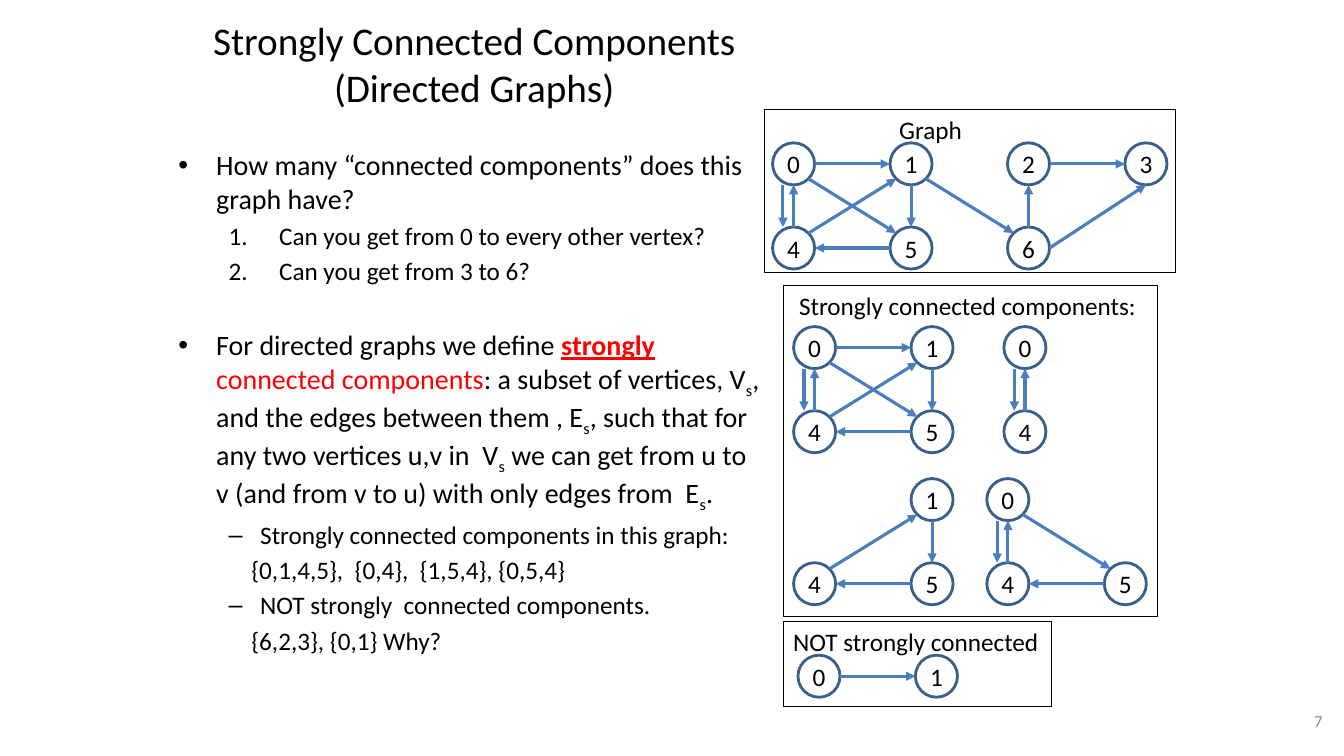
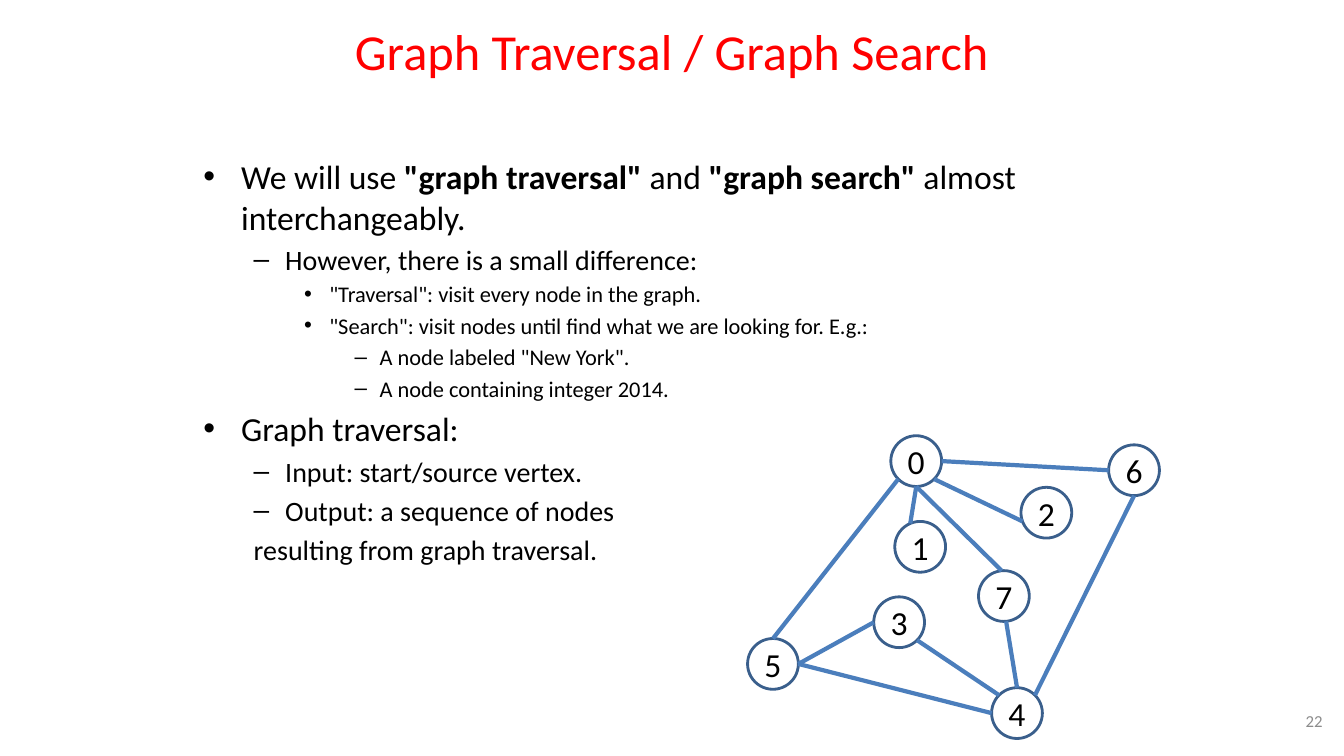
"""Build two slides on connected components and graph traversal."""
import math

from lxml import etree
from pptx import Presentation, util as u
from pptx.dml.color import RGBColor
from pptx.enum import shapes, text
from pptx.oxml.ns import qn

HUES = {"ink": "000000", "red": "FF0000", "ring": "3A5F8C",
        "edge": "4B7EBC", "gray": "8C8C8C"}
FACE = "Calibri"
STEP = (2.96, 2.12)
GRID = {"0": (0, 0), "1": (1, 0), "2": (2, 0), "3": (3, 0),
        "4": (0, 1), "5": (1, 1), "6": (2, 1)}
SMALL, LARGE = 1.06, 1.28
SHIFT = 0.27

PARTS = [
    (0, 20, ["How many “connected components” does this graph have?"], {}),
    (1, 18, ["Can you get from 0 to every other vertex?"], {"mark": "num"}),
    (1, 18, ["Can you get from 3 to 6?"], {"mark": "num"}),
    (0, 20, ["For directed graphs we define ", ("strongly", "key"),
             (" connected components", "red"), ": a subset of vertices, V",
             ("s", "sub"), ", and the edges between them , E", ("s", "sub"),
             ", such that for any two vertices u,v in  V", ("s", "sub"),
             " we can get from u to v (and from v to u) with only edges from  E",
             ("s", "sub"), "."], {"gap": 30}),
    (1, 18, ["Strongly connected components in this graph:"], {}),
    (1, 18, ["{0,1,4,5},  {0,4},  {1,5,4}, {0,5,4}"],
     {"mark": "none", "left": 1.84}),
    (1, 18, ["NOT strongly  connected components."], {}),
    (1, 18, ["{6,2,3}, {0,1} Why?"], {"mark": "none", "left": 1.84}),
]
TOUR = [
    (0, 24, ["We will use ", ('"graph traversal"', "bold"), " and ",
             ('"graph search"', "bold"), " almost interchangeably."], {}),
    (1, 20, ["However, there is a small difference:"], {}),
    (2, 16, ['"Traversal": visit every node in the graph.'], {}),
    (2, 16, ['"Search": visit nodes until find what we are looking for. E.g.:'],
     {}),
    (3, 16, ['A node labeled "New York".'], {}),
    (3, 16, ["A node containing integer 2014."], {}),
    (0, 24, ["Graph traversal:"], {}),
    (1, 20, ["Input: start/source vertex."], {}),
    (1, 20, ["Output: a sequence of nodes"], {}),
    (1, 20, ["resulting from graph traversal."], {"mark": "none", "left": 1.27}),
]
SPOTS = {"0": (23.09, 11.62), "1": (23.19, 13.78), "2": (26.37, 12.92),
         "3": (22.66, 15.68), "4": (25.63, 17.97), "5": (19.48, 16.73),
         "6": (28.58, 11.85), "7": (25.3, 15.02)}
LINKS = [("0", 0, "6", 180), ("0", 315, "2", 200), ("0", 270, "1", 113),
         ("0", 225, "5", 90), ("0", 270, "7", 95), ("5", 0, "3", 180),
         ("5", 0, "4", 180), ("3", 315, "4", 135), ("7", 275, "4", 90),
         ("6", 270, "4", 45)]


def hue(name):
    """Return a named colour."""
    return RGBColor.from_string(HUES[name])


def style(para, size, tint="ink", align=None):
    """Set the font and alignment of a paragraph."""
    font = para.font
    font.name, font.size = FACE, u.Pt(size)
    font.color.rgb = hue(tint)
    if align is not None:
        para.alignment = align


def place(shape, box):
    """Move a shape to a box given in centimetres."""
    shape.left, shape.top, shape.width, shape.height = map(u.Cm, box)


def mark(para, kind, left):
    """Number a paragraph or take its bullet away."""
    props = para._p.get_or_add_pPr()
    hang = -1.27 if kind == "num" else 0
    props.set("marL", str(u.Cm(left)))
    props.set("indent", str(u.Cm(hang)))
    if kind == "num":
        etree.SubElement(props, qn("a:buAutoNum"), type="arabicPeriod")
    else:
        etree.SubElement(props, qn("a:buNone"))


def write(para, runs):
    """Add plain and styled runs to a paragraph."""
    for item in runs:
        words, look = (item, "") if isinstance(item, str) else item
        run = para.add_run()
        run.text = words
        if look in ("key", "bold"):
            run.font.bold = True
        if look in ("key", "red"):
            run.font.color.rgb = hue("red")
        if look == "key":
            run.font.underline = True
        if look == "sub":
            run._r.get_or_add_rPr().set("baseline", "-25000")


def fill(shape, box, items):
    """Fill the body placeholder with a list of several levels."""
    place(shape, box)
    frame = shape.text_frame
    frame.auto_size = text.MSO_AUTO_SIZE.NONE
    for i, (level, size, runs, opts) in enumerate(items):
        para = frame.add_paragraph() if i else frame.paragraphs[0]
        para.level = level
        if "mark" in opts:
            mark(para, opts["mark"], opts.get("left", 2.54))
        if "gap" in opts:
            para.space_before = u.Pt(opts["gap"])
        style(para, size)
        write(para, runs)


def start(deck, title, box, size, tint, number):
    """Add a slide with its title and page number."""
    page = deck.slides.add_slide(deck.slide_layouts[1])
    head = page.shapes.title
    place(head, box)
    frame = head.text_frame
    frame.auto_size = text.MSO_AUTO_SIZE.NONE
    frame.vertical_anchor = text.MSO_ANCHOR.MIDDLE
    frame.text = title
    style(frame.paragraphs[0], size, tint, text.PP_ALIGN.CENTER)
    foot = page.shapes.add_textbox(*map(u.Cm, (25.68, 17.65, 7.9, 1.02)))
    foot.text_frame.text = number
    foot.text_frame.vertical_anchor = text.MSO_ANCHOR.MIDDLE
    style(foot.text_frame.paragraphs[0], 12, "gray", text.PP_ALIGN.RIGHT)
    return page


def panel(page, label, box, pad):
    """Draw an outlined panel with a label at its top."""
    shape = page.shapes.add_textbox(*map(u.Cm, box))
    shape.line.color.rgb = hue("ink")
    shape.line.width = u.Pt(0.75)
    frame = shape.text_frame
    frame.word_wrap = True
    frame.margin_left, frame.margin_right = u.Cm(pad), 0
    frame.text = label
    style(frame.paragraphs[0], 18)


def node(page, label, spot, wide, size):
    """Draw a numbered vertex around its centre."""
    x, y = (v - wide / 2 for v in spot)
    ring = page.shapes.add_shape(shapes.MSO_SHAPE.OVAL,
                                 *map(u.Cm, (x, y, wide, wide)))
    ring.shadow.inherit = False
    ring.fill.background()
    ring.line.color.rgb = hue("ring")
    ring.line.width = u.Pt(2)
    frame = ring.text_frame
    frame.word_wrap = False
    frame.margin_left = frame.margin_right = 0
    frame.margin_top = frame.margin_bottom = 0
    frame.vertical_anchor = text.MSO_ANCHOR.MIDDLE
    frame.text = label
    style(frame.paragraphs[0], size, align=text.PP_ALIGN.CENTER)


def rim(spot, wide, angle):
    """Return the point of a vertex's rim at an angle."""
    turn = math.radians(angle)
    return (spot[0] + wide / 2 * math.cos(turn),
            spot[1] - wide / 2 * math.sin(turn))


def link(page, tip, end, width, arrow=False):
    """Draw an edge between two points."""
    line = page.shapes.add_connector(shapes.MSO_CONNECTOR.STRAIGHT,
                                     *map(u.Cm, (*tip, *end)))
    line.line.color.rgb = hue("edge")
    line.line.width = u.Pt(width)
    props = line.element.spPr
    if arrow:
        etree.SubElement(props.find(qn("a:ln")), qn("a:tailEnd"),
                         type="triangle")
    etree.SubElement(props, qn("a:effectLst"))


def net(page, left, top, edges):
    """Draw a directed graph on the grid and return its centres."""
    pairs = edges.split()
    spots = {}
    for name in sorted(set("".join(pairs))):
        col, row = GRID[name]
        spots[name] = (left + SMALL / 2 + col * STEP[0],
                       top + SMALL / 2 + row * STEP[1])
        node(page, name, spots[name], SMALL, 18)
    for a, b in pairs:
        (ax, ay), (bx, by) = spots[a], spots[b]
        angle = round(math.degrees(math.atan2(ay - by, bx - ax)) / 45) * 45
        twin = b + a in pairs and by > ay
        move = SHIFT if twin else 0
        tip = rim((ax - move, ay), SMALL, angle)
        end = rim((bx - move, by), SMALL, angle + 180)
        link(page, tip, end, 2.25, True)
    return spots


def parts(deck):
    """Build the slide on strongly connected components."""
    page = start(deck, "Strongly Connected Components\v(Directed Graphs)",
                 (4.65, 0, 14.6, 3.18), 28, "ink", "7")
    fill(page.placeholders[1], (4.24, 3.6, 15.24, 15.24), PARTS)
    panel(page, "Graph", (19.26, 2.75, 10.37, 4.12), 3.4)
    panel(page, "Strongly connected components:",
          (19.74, 7.2, 9.42, 8.33), 0.4)
    panel(page, "NOT strongly connected", (19.74, 15.67, 6.76, 2.13), 0.25)
    square = "01 54 40 04 15 41 05"
    spots = net(page, 19.47, 3.6, square + " 16 62 23")
    link(page, rim(spots["6"], SMALL, 0), rim(spots["3"], SMALL, 270),
         2.25, True)
    for left, top, edges in ((20, 8.23, square), (25.3, 8.23, "04 40"),
                             (20, 12.06, "41 15 54"),
                             (24.87, 12.06, "04 40 05 54"),
                             (20.11, 16.51, "01")):
        net(page, left, top, edges)


def tour(deck):
    """Build the slide on graph traversal."""
    page = start(deck, "Graph Traversal / Graph Search",
                 (5.5, 0, 22.86, 2.54), 36, "red", "22")
    fill(page.placeholders[1], (4.87, 3.81, 22.45, 12.27), TOUR)
    for name, spot in SPOTS.items():
        node(page, name, spot, LARGE, 24)
    for a, leave, b, reach in LINKS:
        link(page, rim(SPOTS[a], LARGE, leave), rim(SPOTS[b], LARGE, reach), 3)


def main():
    """Build and save the deck."""
    deck = Presentation()
    deck.slide_width, deck.slide_height = u.Cm(33.87), u.Cm(19.05)
    parts(deck)
    tour(deck)
    deck.save("out.pptx")


if __name__ == "__main__":
    main()
